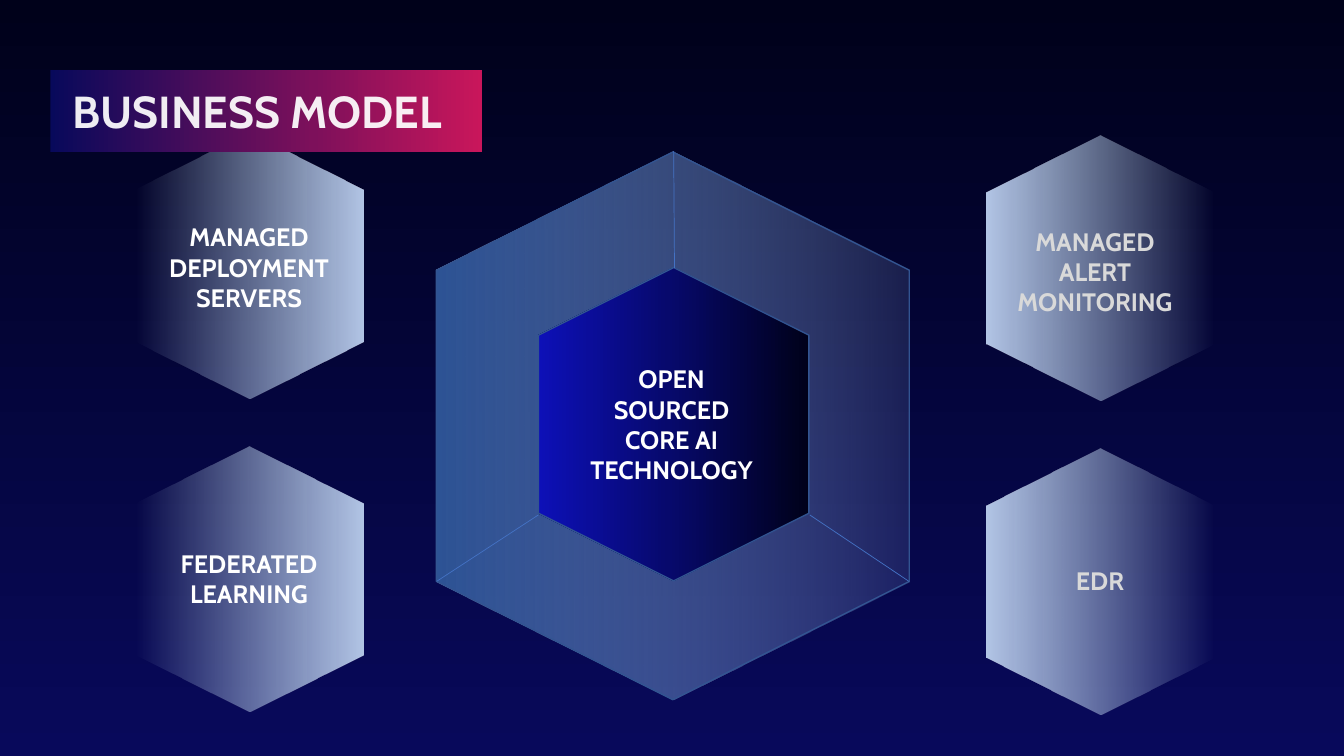
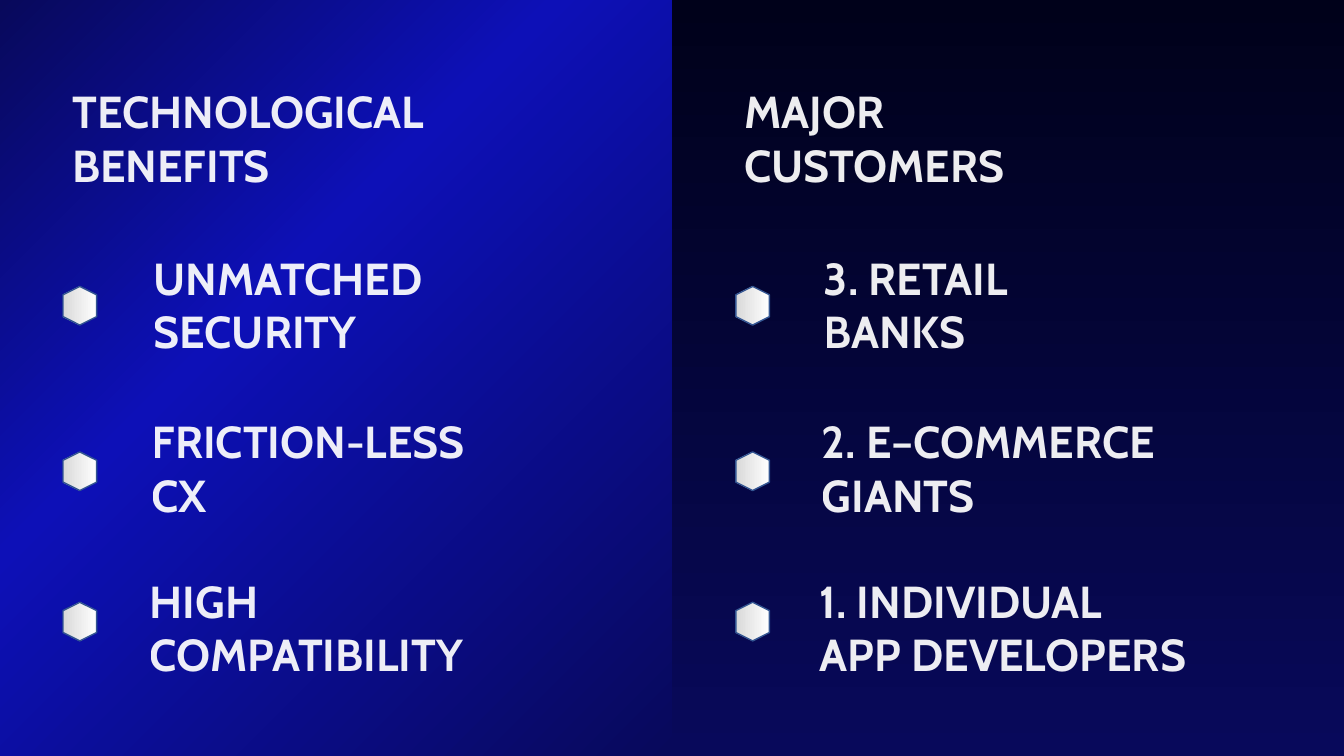
"""Build a two-slide deck on a business model, its benefits and its customers."""
from dataclasses import dataclass
from typing import Any, NamedTuple, Optional

from lxml.etree import SubElement as Sub
from pptx import Presentation
from pptx.dml.color import RGBColor as RGB
from pptx.enum.shapes import MSO_CONNECTOR as Link, MSO_SHAPE as Form
from pptx.enum.text import MSO_ANCHOR as Anchor, MSO_AUTO_SIZE as Auto, PP_ALIGN as Align
from pptx.oxml import parse_xml as to_xml
from pptx.oxml.ns import nsdecls, qn
from pptx.util import Emu, Inches, Pt

COLS, ROWS = 160, 90
WIDE, HIGH = Inches(13.333), Inches(7.5)
FONT = "Cabin"

NIGHT = RGB(0x00, 0x01, 0x1A)
NAVY = RGB(0x08, 0x09, 0x5B)
INK = RGB(0x07, 0x09, 0x6C)
ROYAL = RGB(0x0D, 0x10, 0xB7)
PLUM = RGB(0x7D, 0x10, 0x5B)
ROSE = RGB(0xC9, 0x16, 0x5B)
STEEL = RGB(0x2F, 0x55, 0x97)
EDGE = RGB(0x32, 0x54, 0x91)
AZURE = RGB(0x44, 0x72, 0xC4)
MIST = RGB(0x8F, 0xAA, 0xDC)
PALE = RGB(0xB4, 0xC7, 0xE7)
ICE = RGB(0xBD, 0xD7, 0xEE)
WHITE = RGB(0xFF, 0xFF, 0xFF)
GREY = RGB(0xD9, 0xD9, 0xD9)


class Stop(NamedTuple):
    at: int
    color: RGB
    alpha: int = 100


class Box(NamedTuple):
    x: float
    y: float
    w: float
    h: float


@dataclass(frozen=True)
class Blend:
    stops: tuple[Stop, ...]
    angle: Optional[int] = 90


@dataclass(frozen=True)
class Hex:
    x: float
    y: float
    tall: float
    wide: float
    blend: Blend
    edge: bool = False


@dataclass(frozen=True)
class Label:
    text: str
    box: Box
    color: RGB = WHITE


@dataclass(frozen=True)
class Panel:
    head: str
    head_box: Box
    items: tuple[str, ...]
    list_box: Box
    mark_x: float


BACK = Blend((Stop(0, NIGHT), Stop(100, NAVY)))
RING = Blend((Stop(0, MIST, 16), Stop(100, STEEL)))
CORE = Blend((Stop(0, NIGHT), Stop(52, INK), Stop(100, ROYAL)))
LEFT = Blend((Stop(0, PALE), Stop(100, ICE, 0)))
RIGHT = Blend((Stop(0, ICE, 0), Stop(100, PALE)))
BAND = Blend((Stop(0, NAVY), Stop(61, PLUM), Stop(100, ROSE)), 0)
GLOW = Blend((Stop(0, NAVY), Stop(61, ROYAL), Stop(100, NAVY)), None)
MARK = Blend((Stop(0, WHITE), Stop(100, GREY)))

TITLE = Box(7.4, 9.4, 49.9, 7.7)
BANNER = Box(6, 8.3, 51.4, 9.8)
SIDE = (31.6, 27.2)
HEXES = (
    Hex(80.1, 50.7, 65.2, 56.3, RING, True),
    Hex(80.2, 50.5, 37.3, 32.2, CORE, True),
    Hex(131, 31.9, *SIDE, RIGHT),
    Hex(131, 69.2, *SIDE, RIGHT),
    Hex(29.7, 31.6, *SIDE, LEFT),
    Hex(29.7, 68.9, *SIDE, LEFT),
)
SPOKES = (
    (80.2, 18, 80.3, 31.9),
    (108.2, 69.2, 96.4, 61.3),
    (52, 69.2, 64.1, 61.3),
)
LABELS = (
    Label("OPEN\vSOURCED\vCORE AI\vTECHNOLOGY", Box(68.3, 42.7, 23.3, 15.7)),
    Label("MANAGED\vDEPLOYMENT\vSERVERS", Box(18, 25.8, 23.3, 12.1)),
    Label("FEDERATED\vLEARNING", Box(18, 64.7, 23.3, 8.5)),
    Label("MANAGED\vALERT\vMONITORING", Box(118.7, 26.3, 23.3, 12.1), GREY),
    Label("EDR", Box(119.3, 66.7, 23.3, 4.8), GREY),
)
PANELS = (
    Panel("TECHNOLOGICAL BENEFITS", TITLE._replace(h=14.2),
          ("UNMATCHED\vSECURITY", "FRICTION-LESS\vCX", "HIGH\vCOMPATIBILITY"),
          Box(16.6, 29.2, 50.4, 52.8), 9.5),
    Panel("MAJOR\vCUSTOMERS", Box(87.4, 9.4, 40.7, 14.2),
          ("3. RETAIL\vBANKS", "2. E–COMMERCE\vGIANTS", "1. INDIVIDUAL\vAPP DEVELOPERS"),
          Box(96.4, 29.2, 50.4, 52.8), 89.6),
)
MARK_ROWS = (36.4, 56.1, 74)
GAPS = (0, 40, 37)


def col(n: float) -> Emu:
    """Turn grid columns into a length."""
    return Emu(round(WIDE * n / COLS))


def row(n: float) -> Emu:
    """Turn grid rows into a length."""
    return Emu(round(HIGH * n / ROWS))


def span(box: Box) -> tuple[Emu, Emu, Emu, Emu]:
    """Turn a grid box into lengths."""
    return col(box.x), row(box.y), col(box.w), row(box.h)


def shade(fill: Any, node: Any, blend: Blend) -> None:
    """Give a node a gradient fill."""
    fill.background()
    grad = to_xml(f'<a:gradFill {nsdecls("a")} rotWithShape="1"><a:gsLst/></a:gradFill>')
    for stop in blend.stops:
        mark = Sub(grad[0], qn("a:gs"), pos=str(stop.at * 1000))
        tone = Sub(mark, qn("a:srgbClr"), val=str(stop.color))
        if stop.alpha < 100:
            Sub(tone, qn("a:alpha"), val=str(stop.alpha * 1000))
    if blend.angle is None:
        way = Sub(grad, qn("a:path"), path="circle")
        Sub(way, qn("a:fillToRect"), l="100000", t="100000")
    else:
        Sub(grad, qn("a:lin"), ang=str(blend.angle * 60000), scaled="0")
    node.replace(node.find(qn("a:noFill")), grad)


def draw(slide: Any, form: Form, box: Box, blend: Blend, edge: bool = False) -> Any:
    """Add a preset shape with a gradient."""
    shape = slide.shapes.add_shape(form, *span(box))
    shape.shadow.inherit = False
    shade(shape.fill, shape._element.spPr, blend)
    if edge:
        shape.line.color.rgb = EDGE
        shape.line.width = Pt(1)
    else:
        shape.line.fill.background()
    return shape


def add_hex(slide: Any, item: Hex) -> None:
    """Add a hexagon standing on its point."""
    box = Box(item.x - item.tall / 2, item.y - item.wide / 2, item.tall, item.wide)
    draw(slide, Form.HEXAGON, box, item.blend, item.edge).rotation = 90


def style(par: Any, size: int, color: RGB, alpha: int = 100) -> None:
    """Set the font of a paragraph."""
    font = par.font
    font.name, font.size, font.bold = FONT, Pt(size), True
    font.color.rgb = color
    if alpha < 100:
        for tone in par._p.pPr.iter(qn("a:srgbClr")):
            Sub(tone, qn("a:alpha"), val=str(alpha * 1000))


def add_label(slide: Any, label: Label) -> None:
    """Add a centred caption."""
    frame = slide.shapes.add_textbox(*span(label.box)).text_frame
    frame.word_wrap = True
    frame.text = label.text
    par = frame.paragraphs[0]
    par.alignment = Align.CENTER
    style(par, 18, label.color)


def add_spoke(slide: Any, ends: tuple[float, ...]) -> None:
    """Add a thin line between two grid points."""
    x, y, to_x, to_y = ends
    line = slide.shapes.add_connector(Link.STRAIGHT, col(x), row(y), col(to_x), row(to_y))
    line.line.color.rgb = AZURE
    line.line.width = Pt(0.5)
    Sub(line._element.spPr, qn("a:effectLst"))


def put(slide: Any, hold: Any, box: Box, text: str) -> Any:
    """Fill a placeholder and bring it to the front."""
    hold.left, hold.top, hold.width, hold.height = span(box)
    slide.shapes._spTree.append(hold._element)
    frame = hold.text_frame
    frame.text = text
    frame.word_wrap = True
    frame.auto_size = Auto.NONE
    frame.vertical_anchor = Anchor.TOP
    for par in frame.paragraphs:
        par.alignment = Align.LEFT
        par.space_before = Pt(0)
        prop = par._p.get_or_add_pPr()
        prop.set("marL", "0")
        prop.set("indent", "0")
        Sub(prop, qn("a:buNone"))
        style(par, 32, WHITE, 92)
    return frame


def put_list(slide: Any, hold: Any, panel: Panel) -> None:
    """Fill a list whose items step slightly to the left."""
    pars = put(slide, hold, panel.list_box, "\n".join(panel.items)).paragraphs
    for n, (par, gap) in enumerate(zip(pars, GAPS)):
        par.space_before = Pt(gap)
        par._p.pPr.set("marL", str(col(0.24 * (len(pars) - 1 - n))))


def add_model(deck: Any) -> None:
    """Add the business model slide."""
    slide = deck.slides.add_slide(deck.slide_layouts[5])
    for item in HEXES:
        add_hex(slide, item)
    for ends in SPOKES:
        add_spoke(slide, ends)
    for label in LABELS:
        add_label(slide, label)
    draw(slide, Form.RECTANGLE, BANNER, BAND)
    put(slide, slide.shapes.title, TITLE, "BUSINESS MODEL")


def add_gains(deck: Any) -> None:
    """Add the benefits and customers slide."""
    slide = deck.slides.add_slide(deck.slide_layouts[4])
    holds = {hold.placeholder_format.idx: hold for hold in slide.placeholders}
    spare = holds[1]._element
    spare.getparent().remove(spare)
    draw(slide, Form.RECTANGLE, Box(0, 0, COLS / 2, ROWS), GLOW)
    for panel, head, body in zip(PANELS, (0, 3), (2, 4)):
        put(slide, holds[head], panel.head_box, panel.head)
        for y in MARK_ROWS:
            add_hex(slide, Hex(panel.mark_x, y, 4.6, 4, MARK, True))
        put_list(slide, holds[body], panel)


def main() -> None:
    """Build and save the deck."""
    deck = Presentation()
    deck.slide_width, deck.slide_height = WIDE, HIGH
    master = deck.slide_master
    fill = master.background.fill
    fill.background()
    shade(fill, master._element.find(f".//{qn('p:bgPr')}"), BACK)
    add_model(deck)
    add_gains(deck)
    deck.save("out.pptx")


if __name__ == "__main__":
    main()
